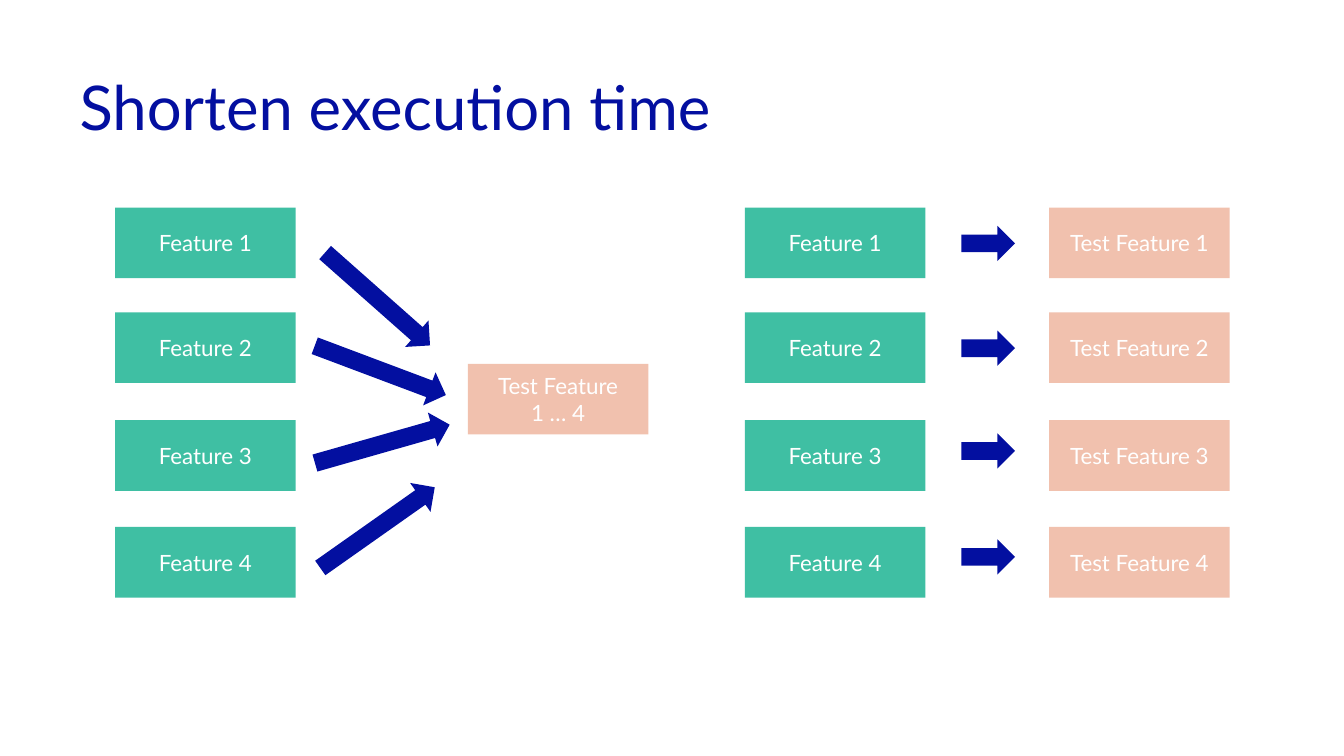
"""Build the slide comparing one joint feature test with four separate tests."""
import dataclasses

import pptx
import pptx.dml.color
import pptx.enum.shapes
import pptx.enum.text
import pptx.presentation
import pptx.shapes.autoshape
import pptx.slide
import pptx.text.text
import pptx.util

Cm = pptx.util.Cm
RGB = pptx.dml.color.RGBColor
SHAPE = pptx.enum.shapes.MSO_SHAPE
ALIGN = pptx.enum.text.PP_ALIGN
ANCHOR = pptx.enum.text.MSO_ANCHOR


@dataclasses.dataclass(frozen=True)
class Theme:
    """Colours, typeface and type sizes of the slide."""
    navy: RGB = RGB.from_string("030FA0")
    green: RGB = RGB.from_string("3FBFA3")
    peach: RGB = RGB.from_string("F1C1AE")
    white: RGB = RGB.from_string("FFFFFF")
    font: str = "Lato"
    title_size: int = 44
    label_size: int = 16


@dataclasses.dataclass(frozen=True)
class Box:
    """A labelled rectangle, placed in centimetres."""
    text: str
    left: float
    top: float
    fill: RGB
    width: float = 4.55
    height: float = 1.78


@dataclasses.dataclass(frozen=True)
class Arrow:
    """A block arrow, placed in centimetres and turned in degrees."""
    left: float
    top: float
    width: float
    rotation: float = 0
    height: float = 0.89


THEME = Theme()
ROW_TOPS = (5.23, 7.87, 10.59, 13.28)
SHORT_ARROW_TOPS = (5.69, 8.33, 10.92, 13.59)
JOINT_LEFT, SEPARATE_LEFT, TEST_LEFT = 2.9, 18.77, 26.44
LONG = 3.53

BOXES = [
    Box(f"{prefix} {number}", left, top, fill)
    for prefix, left, fill in (
        ("Feature", JOINT_LEFT, THEME.green),
        ("Feature", SEPARATE_LEFT, THEME.green),
        ("Test Feature", TEST_LEFT, THEME.peach),
    )
    for number, top in enumerate(ROW_TOPS, 1)
] + [Box("Test Feature\n1 … 4", 11.79, 9.17, THEME.peach)]

ARROWS = [Arrow(24.23, top, 1.35) for top in SHORT_ARROW_TOPS] + [
    Arrow(7.75, 7.09, LONG, 41.5),
    Arrow(7.82, 8.89, LONG, 20.6),
    Arrow(7.87, 10.74, LONG, 344.1),
    Arrow(7.75, 12.85, LONG, 324.8),
]


def format_text(tf: pptx.text.text.TextFrame, size: int, color: RGB, align: ALIGN) -> None:
    """Format every run of a vertically centred text frame."""
    tf.word_wrap = True
    tf.vertical_anchor = ANCHOR.MIDDLE
    for p in tf.paragraphs:
        p.alignment = align
        for r in p.runs:
            r.font.name = THEME.font
            r.font.size = pptx.util.Pt(size)
            r.font.color.rgb = color


def add_filled(slide: pptx.slide.Slide, kind: SHAPE, item: Box | Arrow,
               fill: RGB) -> pptx.shapes.autoshape.Shape:
    """Add a flat, unlined shape at the item's place."""
    sp = slide.shapes.add_shape(
        kind, Cm(item.left), Cm(item.top), Cm(item.width), Cm(item.height))
    sp.shadow.inherit = False
    sp.fill.solid()
    sp.fill.fore_color.rgb = fill
    sp.line.fill.background()
    return sp


def draw_box(slide: pptx.slide.Slide, box: Box) -> None:
    """Draw one labelled rectangle."""
    sp = add_filled(slide, SHAPE.RECTANGLE, box, box.fill)
    sp.text_frame.text = box.text
    format_text(sp.text_frame, THEME.label_size, THEME.white, ALIGN.CENTER)


def draw_arrow(slide: pptx.slide.Slide, arrow: Arrow) -> None:
    """Draw one block arrow."""
    sp = add_filled(slide, SHAPE.RIGHT_ARROW, arrow, THEME.navy)
    sp.rotation = arrow.rotation


def draw_title(slide: pptx.slide.Slide, text: str) -> None:
    """Fill and place the title placeholder."""
    sp = slide.shapes.title
    sp.left, sp.top, sp.width, sp.height = Cm(1.75), Cm(0.94), Cm(29.21), Cm(3.68)
    sp.text_frame.text = text
    sp.text_frame.paragraphs[0].line_spacing = 0.9
    format_text(sp.text_frame, THEME.title_size, THEME.navy, ALIGN.LEFT)


def main() -> None:
    """Build and save the presentation."""
    prs = pptx.Presentation()
    prs.slide_width, prs.slide_height = Cm(33.87), Cm(19.05)
    slide = prs.slides.add_slide(prs.slide_layouts.get_by_name("Title Only"))
    draw_title(slide, "Shorten execution time")
    for box in BOXES:
        draw_box(slide, box)
    for arrow in ARROWS:
        draw_arrow(slide, arrow)
    prs.save("out.pptx")


if __name__ == "__main__":
    main()
